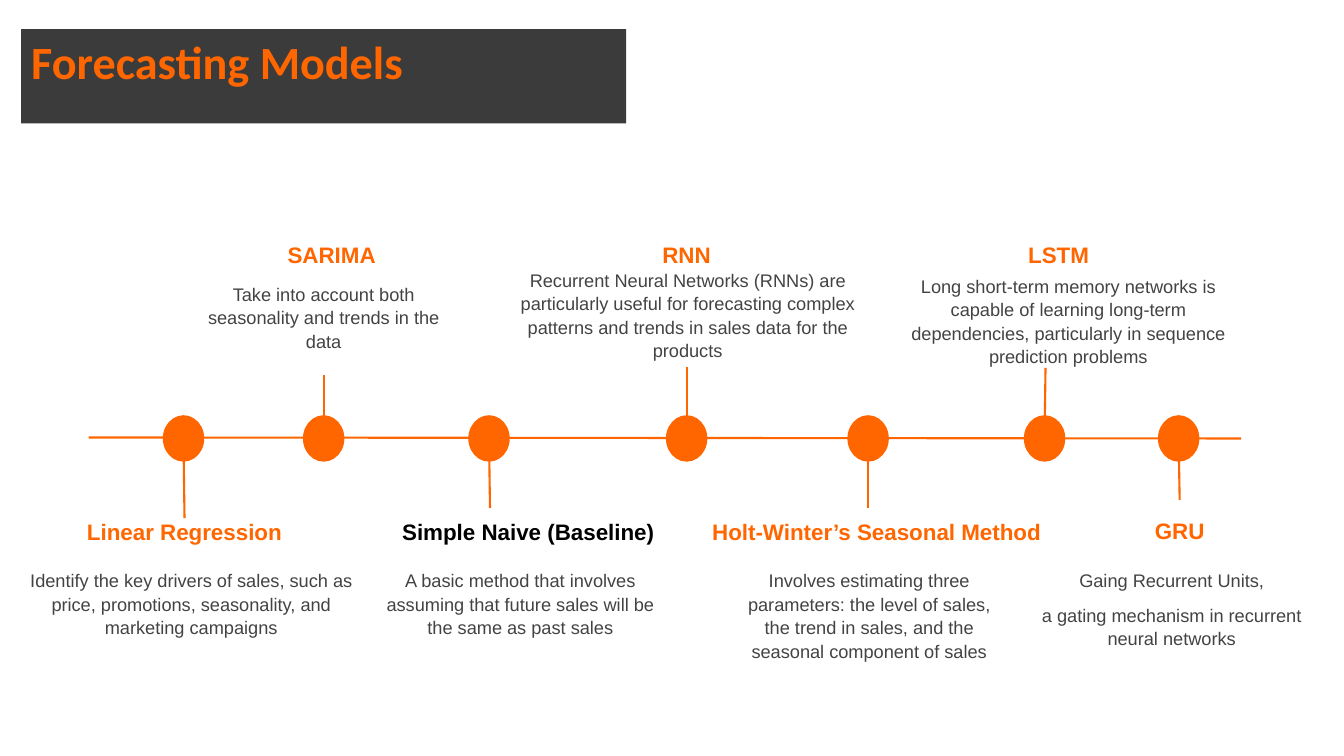
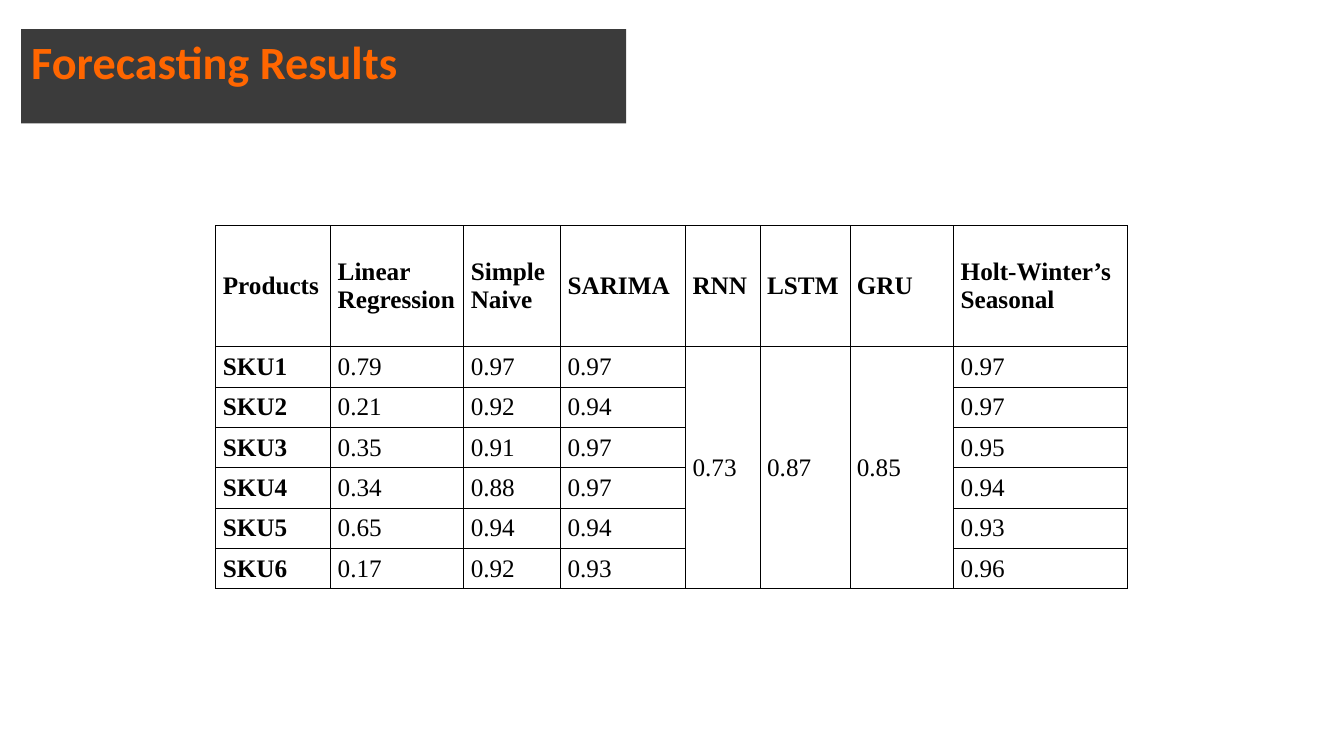
from lxml.etree import SubElement
from pptx import Presentation
from pptx.dml.color import RGBColor
from pptx.enum.shapes import MSO_CONNECTOR as Connector, MSO_SHAPE as Preset
from pptx.enum.text import MSO_ANCHOR as Anchor, MSO_AUTO_SIZE as AutoSize, PP_ALIGN as Align
from pptx.oxml.ns import qn
from pptx.util import Emu, Pt

PX = 9144  # 100 px to the inch

ORANGE = RGBColor(0xFF, 0x66, 0x00)
CHARCOAL = RGBColor(0x3B, 0x3B, 0x3B)
GREY = RGBColor(0x43, 0x43, 0x43)
BLACK = RGBColor(0x00, 0x00, 0x00)

TITLE_FONT = {"name": "Calibri", "size": Pt(33), "bold": True}
HEADING_FONT = {"name": "Arial", "size": Pt(16), "bold": True}
BODY_FONT = {"name": "Arial", "size": Pt(13), "bold": False}
TABLE_FONT = {"name": "Times New Roman", "size": Pt(18)}

TITLE_PARAGRAPH = {"alignment": Align.JUSTIFY, "line_spacing": 0.9, "space_before": Pt(10)}
HEADING_PARAGRAPH = {"alignment": Align.CENTER}
BODY_PARAGRAPH = {"alignment": Align.CENTER, "line_spacing": 1.08, "space_after": Pt(8)}
TABLE_PARAGRAPH = {"alignment": Align.JUSTIFY}

AXIS_Y = 435
DOT_WIDTH, DOT_HEIGHT = 39, 44
HEADING_HEIGHT, BODY_HEIGHT = 58, 94

# heading, colour, heading box (left, top, width), description,
# description box (left, top, width), dot centre, stem end (x, y)
MODELS = [
    ("Linear Regression", ORANGE, (40, 504, 286),
     "Identify the key drivers of sales, such as price, promotions, seasonality, "
     "and marketing campaigns", (10, 553, 359), 182, (183, 514)),
    ("SARIMA", ORANGE, (186, 229, 286),
     "Take into account both seasonality and trends in the data",
     (178, 269, 286), 321, (321, 372)),
    ("Simple Naive (Baseline)", BLACK, (381, 504, 286),
     "A basic method that involves assuming that future sales will be the same "
     "as past sales", (373, 553, 286), 485, (486, 504)),
    ("RNN", ORANGE, (538, 229, 286),
     "Recurrent Neural Networks (RNNs) are particularly useful for forecasting "
     "complex patterns and trends in sales data for the products",
     (479, 255, 406), 681, (681, 364)),
    ("Holt-Winter’s Seasonal Method", ORANGE, (683, 504, 373),
     "Involves estimating three parameters: the level of sales, the trend in "
     "sales, and the seasonal component of sales", (719, 553, 286), 861, (861, 504)),
    ("LSTM", ORANGE, (907, 229, 286),
     "Long short-term memory networks is capable of learning long-term "
     "dependencies, particularly in sequence prediction problems",
     (873, 261, 373), 1036, (1037, 365)),
    ("GRU", ORANGE, (1027, 503, 286),
     "Gaing Recurrent Units,\na gating mechanism in recurrent neural networks",
     (1019, 553, 286), 1169, (1170, 496)),
]

COLUMN_WIDTHS = [114, 132, 96, 124, 74, 89, 103, 172]
ROW_HEIGHTS = [120] + [40] * 6
SHARED_COLUMNS = (4, 5, 6)
RESULTS = [
    ["Products", "Linear Regression", "Simple Naive", "SARIMA", "RNN", "LSTM", "GRU",
     "Holt-Winter’s Seasonal"],
    ["SKU1", "0.79", "0.97", "0.97", "0.73", "0.87", "0.85", "0.97"],
    ["SKU2", "0.21", "0.92", "0.94", "", "", "", "0.97"],
    ["SKU3", "0.35", "0.91", "0.97", "", "", "", "0.95"],
    ["SKU4", "0.34", "0.88", "0.97", "", "", "", "0.94"],
    ["SKU5", "0.65", "0.94", "0.94", "", "", "", "0.93"],
    ["SKU6", "0.17", "0.92", "0.93", "", "", "", "0.96"],
]


def px(*lengths):
    return [Emu(length * PX) for length in lengths]


def set_all(target, values):
    for name, value in values.items():
        setattr(target, name, value)


def write(frame, text, font, paragraph_format, color):
    """Fill a text frame, one paragraph for each line of text."""
    frame.text = text
    for paragraph in frame.paragraphs:
        set_all(paragraph, paragraph_format)
        for run in paragraph.runs:
            set_all(run.font, font)
            run.font.color.rgb = color


def set_borders(cell, color, width):
    properties = cell._tc.get_or_add_tcPr()
    for side in ("lnL", "lnR", "lnT", "lnB"):
        line = SubElement(properties, qn(f"a:{side}"), w=str(width))
        fill = SubElement(line, qn("a:solidFill"))
        SubElement(fill, qn("a:srgbClr"), val=str(color))


class Deck:
    """Holds the shared style and the slide being built."""

    def __init__(self):
        self.presentation = Presentation()
        size = px(1333, 750)
        self.presentation.slide_width, self.presentation.slide_height = size
        self.slide = None

    def add_slide(self, title):
        layout = self.presentation.slide_layouts.get_by_name("Title Only")
        self.slide = self.presentation.slides.add_slide(layout)
        band = self.slide.shapes.title
        band.left, band.top, band.width, band.height = px(21, 29, 600, 70)
        band.fill.solid()
        band.fill.fore_color.rgb = CHARCOAL
        self.set_frame(band.text_frame, AutoSize.SHAPE_TO_FIT_TEXT)
        write(band.text_frame, title, TITLE_FONT, TITLE_PARAGRAPH, ORANGE)

    def set_frame(self, frame, auto_size=AutoSize.NONE):
        margins = ("margin_left", "margin_top", "margin_right", "margin_bottom")
        set_all(frame, dict.fromkeys(margins, Emu(10 * PX)))
        set_all(frame, {"word_wrap": True, "auto_size": auto_size,
                        "vertical_anchor": Anchor.TOP})

    def text(self, box, text, font, paragraph_format, color):
        frame = self.slide.shapes.add_textbox(*px(*box)).text_frame
        self.set_frame(frame)
        write(frame, text, font, paragraph_format, color)

    def line(self, *ends):
        connector = self.slide.shapes.add_connector(Connector.STRAIGHT, *px(*ends))
        connector.line.color.rgb = ORANGE
        connector.line.width = Pt(1.5)
        SubElement(connector._element.spPr, qn("a:effectLst"))

    def dot(self, center_x, center_y):
        left, top = center_x - DOT_WIDTH / 2, center_y - DOT_HEIGHT / 2
        box = [Emu(round(length * PX)) for length in (left, top, DOT_WIDTH, DOT_HEIGHT)]
        dot = self.slide.shapes.add_shape(Preset.OVAL, *box)
        dot.shadow.inherit = False
        dot.fill.solid()
        dot.fill.fore_color.rgb = ORANGE
        dot.line.color.rgb = ORANGE
        dot.line.width = Pt(1.5)

    def table(self, left, top, rows, widths, heights, shared_columns):
        """Draw a grid; each shared column holds one value for all products."""
        box = px(left, top, sum(widths), sum(heights))
        table = self.slide.shapes.add_table(len(rows), len(widths), *box).table
        set_all(table, {"first_row": False, "horz_banding": False})
        for column, width in zip(table.columns, px(*widths)):
            column.width = width
        for row, height in zip(table.rows, px(*heights)):
            row.height = height
        margins = dict(zip(("margin_left", "margin_top", "margin_right", "margin_bottom"),
                           px(7, 0, 7, 0)))
        for row_index, row in enumerate(rows):
            for column_index, value in enumerate(row):
                cell = table.cell(row_index, column_index)
                set_all(cell, {**margins, "vertical_anchor": Anchor.MIDDLE})
                set_borders(cell, BLACK, Pt(0.5))
                cell.fill.background()
                bold = row_index == 0 or column_index == 0
                write(cell.text_frame, value, {**TABLE_FONT, "bold": bold},
                      TABLE_PARAGRAPH, BLACK)
        for column_index in shared_columns:
            table.cell(1, column_index).merge(table.cell(len(rows) - 1, column_index))


def add_models_slide(deck):
    deck.add_slide("Forecasting Models")
    deck.line(88, 434, 1231, AXIS_Y)
    for heading, color, heading_box, body, body_box, center, stem_end in MODELS:
        deck.line(center, AXIS_Y, *stem_end)
        deck.dot(center, AXIS_Y)
        deck.text((*heading_box, HEADING_HEIGHT), heading,
                  HEADING_FONT, HEADING_PARAGRAPH, color)
        deck.text((*body_box, BODY_HEIGHT), body, BODY_FONT, BODY_PARAGRAPH, GREY)


def add_results_slide(deck):
    deck.add_slide("Forecasting Results")
    deck.table(214, 224, RESULTS, COLUMN_WIDTHS, ROW_HEIGHTS, SHARED_COLUMNS)


def main():
    deck = Deck()
    add_models_slide(deck)
    add_results_slide(deck)
    deck.presentation.save("out.pptx")


if __name__ == "__main__":
    main()
